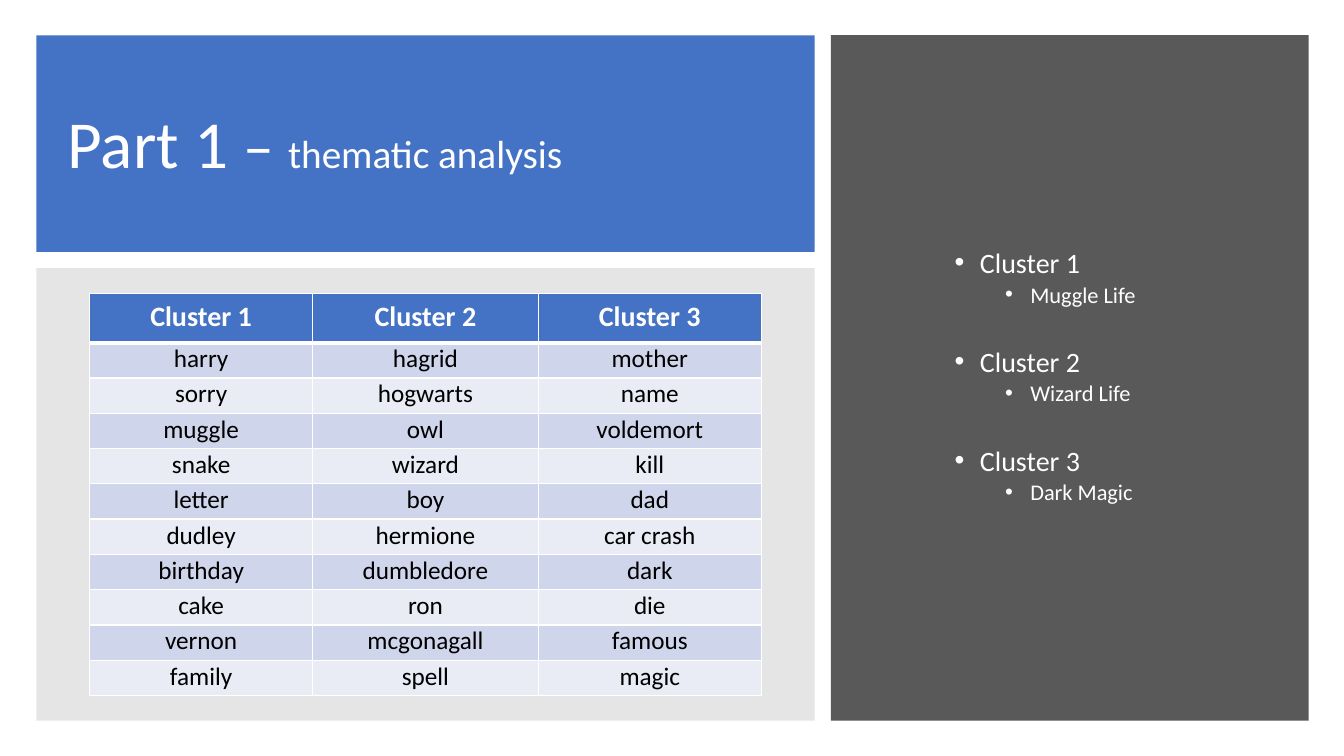
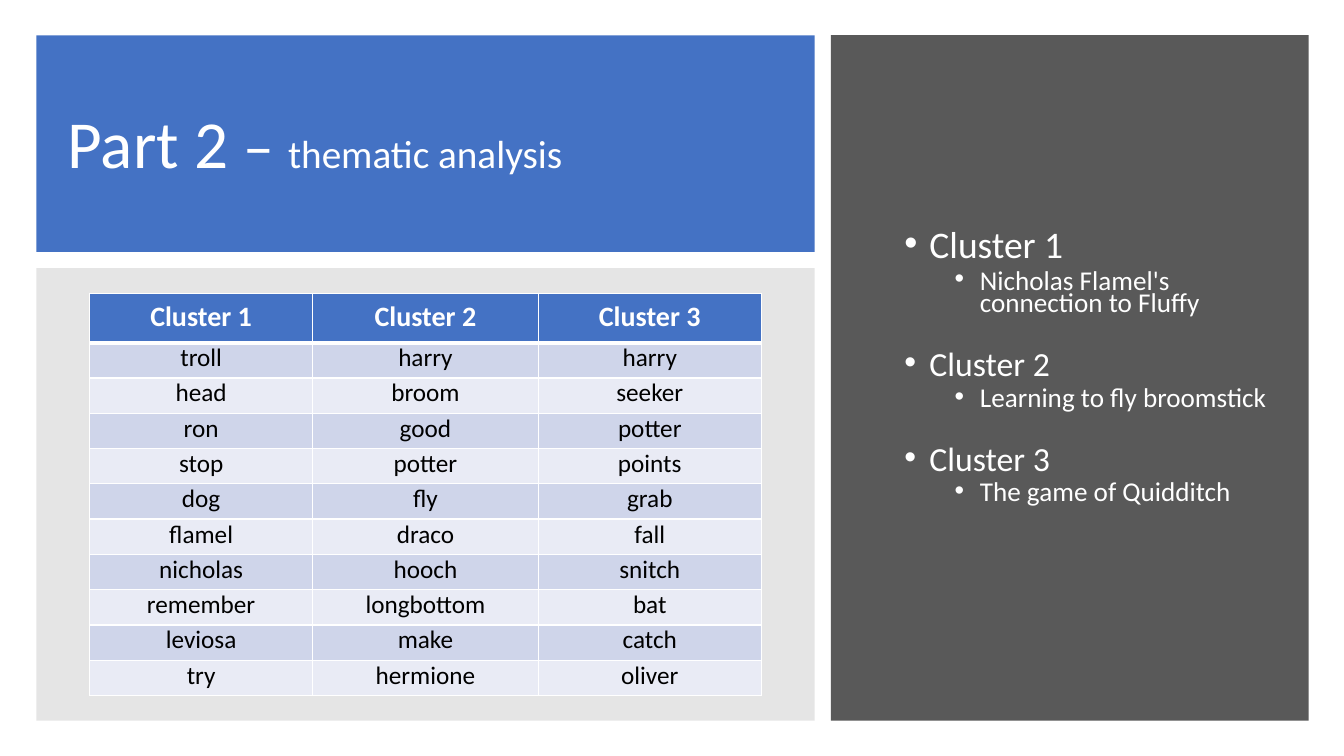
import pptx
import pptx.dml.color
import pptx.enum.shapes
import pptx.enum.text
import pptx.oxml
import pptx.oxml.ns
import pptx.util

PX = 9144  # EMU per px, 100 px to the inch
FONT = "Calibri"
COLORS = {
    "white": "FFFFFF",
    "black": "000000",
    "title_band": "4472C4",
    "table_panel": "7F7F7F",
    "cluster_panel": "595959",
    "band_odd": "CFD5EA",
    "band_even": "E9EBF5",
}
TITLE_BAND = (36, 35, 772, 215)
TABLE_PANEL = (36, 266, 772, 449)
CLUSTER_PANEL = (824, 35, 474, 680)
COLUMN_WIDTHS = (221, 224, 221)
HEADER_HEIGHT, ROW_HEIGHT = 49, 35
HEADERS = ("Cluster 1", "Cluster 2", "Cluster 3")

SLIDES = [
    {
        "part": "Part 1 ",
        "cell_inset": 1,
        "rows": [
            ("harry", "hagrid", "mother"),
            ("sorry", "hogwarts", "name"),
            ("muggle", "owl", "voldemort"),
            ("snake", "wizard", "kill"),
            ("letter", "boy", "dad"),
            ("dudley", "hermione", "car crash"),
            ("birthday", "dumbledore", "dark"),
            ("cake", "ron", "die"),
            ("vernon", "mcgonagall", "famous"),
            ("family", "spell", "magic"),
        ],
        "themes": ("Muggle Life", "Wizard Life", "Dark Magic"),
        "list": {"box": (113, 203, 248, 275), "head_sizes": (20, 20, 20),
                 "theme_size": 16, "line_spacing": 0.8, "gap": 31},
    },
    {
        "part": "Part 2 ",
        "cell_inset": 0,
        "rows": [
            ("troll", "harry", "harry"),
            ("head", "broom", "seeker"),
            ("ron", "good", "potter"),
            ("stop", "potter", "points"),
            ("dog", "fly", "grab"),
            ("flamel", "draco", "fall"),
            ("nicholas", "hooch", "snitch"),
            ("remember", "longbottom", "bat"),
            ("leviosa", "make", "catch"),
            ("try", "hermione", "oliver"),
        ],
        "themes": ("Nicholas Flamel's connection to Fluffy",
                   "Learning to fly broomstick", "The game of Quidditch"),
        "list": {"box": (63, 182, 381, 300), "head_sizes": (26.8, 24.1, 24.1),
                 "theme_size": 19.4, "line_spacing": 0.7, "gap": 26},
    },
]


def px(n):
    return pptx.util.Emu(n * PX)


def rgb(name):
    return pptx.dml.color.RGBColor.from_string(COLORS[name])


def set_attrs(obj, values):
    for name, value in values.items():
        setattr(obj, name, value)


def add_run(p, text, size, color="white", bold=False):
    r = p.add_run()
    r.text = text
    set_attrs(r.font, {"name": FONT, "size": pptx.util.Pt(size), "bold": bold})
    r.font.color.rgb = rgb(color)


def add_panel(slide, box, color, alpha=None):
    """Add a plain rectangle; alpha is its opacity in percent."""
    sp = slide.shapes.add_shape(pptx.enum.shapes.MSO_SHAPE.RECTANGLE, *map(px, box))
    sp.shadow.inherit = False
    sp.line.fill.background()
    sp.fill.solid()
    sp.fill.fore_color.rgb = rgb(color)
    if alpha is not None:
        clr = sp._element.spPr.find(".//" + pptx.oxml.ns.qn("a:srgbClr"))
        clr.append(pptx.oxml.parse_xml(
            f'<a:alpha {pptx.oxml.ns.nsdecls("a")} val="{alpha * 1000}"/>'))


def format_frame(tf):
    set_attrs(tf, {
        "word_wrap": True,
        "auto_size": pptx.enum.text.MSO_AUTO_SIZE.NONE,
        "vertical_anchor": pptx.enum.text.MSO_ANCHOR.MIDDLE,
    })


def add_title(slide, box, part):
    x, y, w, h = box
    add_panel(slide, box, "title_band")
    title = slide.shapes.title
    slide.shapes._spTree.append(title._element)  # bring in front of the band
    set_attrs(title, {"left": px(x + 21), "top": px(y + 22),
                      "width": px(w - 51), "height": px(h - 37)})
    tf = title.text_frame
    format_frame(tf)
    p = tf.paragraphs[0]
    set_attrs(p, {"alignment": pptx.enum.text.PP_ALIGN.LEFT, "line_spacing": 0.9})
    for text, size in ((part, 48), ("– ", 44), ("thematic analysis", 28)):
        add_run(p, text, size)


def add_bullet(p, indent):
    pPr = p._p.get_or_add_pPr()
    pPr.set("marL", str(px(indent)))
    pPr.set("indent", str(px(-25)))
    ns = pptx.oxml.ns.nsdecls("a")
    for xml in (f'<a:buFont {ns} typeface="Arial"/>', f'<a:buChar {ns} char="•"/>'):
        pPr.append(pptx.oxml.parse_xml(xml))


def add_clusters(slide, box, themes, fmt):
    """Add the dark panel with each cluster and its theme."""
    add_panel(slide, box, "cluster_panel")
    x, y, w, h = fmt["box"]
    tf = slide.shapes.add_textbox(*map(px, (box[0] + x, box[1] + y, w, h))).text_frame
    format_frame(tf)
    for i, (head, theme, size) in enumerate(zip(HEADERS, themes, fmt["head_sizes"])):
        levels = ((head, size, 0, 25, fmt["gap"] if i else 0),
                  (theme, fmt["theme_size"], 1, 75, 5))
        for text, pt, level, indent, before in levels:
            p = tf.add_paragraph() if i or level else tf.paragraphs[0]
            add_bullet(p, indent)
            set_attrs(p, {"level": level, "line_spacing": fmt["line_spacing"],
                          "space_before": pptx.util.Pt(before)})
            add_run(p, text, pt)


def set_borders(cell, top, bottom):
    tcPr = cell._tc.get_or_add_tcPr()
    for side, pt in (("L", 1), ("R", 1), ("T", top), ("B", bottom)):
        tcPr.append(pptx.oxml.parse_xml(
            f'<a:ln{side} {pptx.oxml.ns.nsdecls("a")} w="{pptx.util.Pt(pt)}">'
            f'<a:solidFill><a:srgbClr val="{COLORS["white"]}"/></a:solidFill></a:ln{side}>'))


def add_word_table(slide, box, rows, inset):
    x, y, w, h = box
    add_panel(slide, box, "table_panel", alpha=20)
    height = HEADER_HEIGHT + ROW_HEIGHT * len(rows)
    frame = slide.shapes.add_table(
        len(rows) + 1, len(HEADERS), px(x + (w - sum(COLUMN_WIDTHS)) // 2),
        px(y + (h - height) // 2), px(sum(COLUMN_WIDTHS)), px(height))
    table = frame.table
    for column, width in zip(table.columns, COLUMN_WIDTHS):
        column.width = px(width)
    for i, words in enumerate([HEADERS, *rows]):
        header = i == 0
        table.rows[i].height = px(HEADER_HEIGHT if header else ROW_HEIGHT)
        fill = "title_band" if header else ("band_odd" if i % 2 else "band_even")
        side, top, bottom = (11, 6, 6) if header else (inset, inset, 0)
        for j, word in enumerate(words):
            cell = table.cell(i, j)
            set_borders(cell, 3 if i == 1 else 1, 3 if header else 1)
            set_attrs(cell, {"margin_left": px(side), "margin_right": px(side),
                             "margin_top": px(top), "margin_bottom": px(bottom)})
            cell.fill.solid()
            cell.fill.fore_color.rgb = rgb(fill)
            p = cell.text_frame.paragraphs[0]
            p.alignment = pptx.enum.text.PP_ALIGN.CENTER
            add_run(p, word, 20 if header else 18,
                    "white" if header else "black", header)


def add_analysis_slide(prs, data):
    slide = prs.slides.add_slide(prs.slide_layouts.get_by_name("Title Only"))
    add_title(slide, TITLE_BAND, data["part"])
    add_clusters(slide, CLUSTER_PANEL, data["themes"], data["list"])
    add_word_table(slide, TABLE_PANEL, data["rows"], data["cell_inset"])


def main():
    prs = pptx.Presentation()
    set_attrs(prs, {"slide_width": px(1333), "slide_height": px(750)})
    for data in SLIDES:
        add_analysis_slide(prs, data)
    prs.save("out.pptx")


if __name__ == "__main__":
    main()
